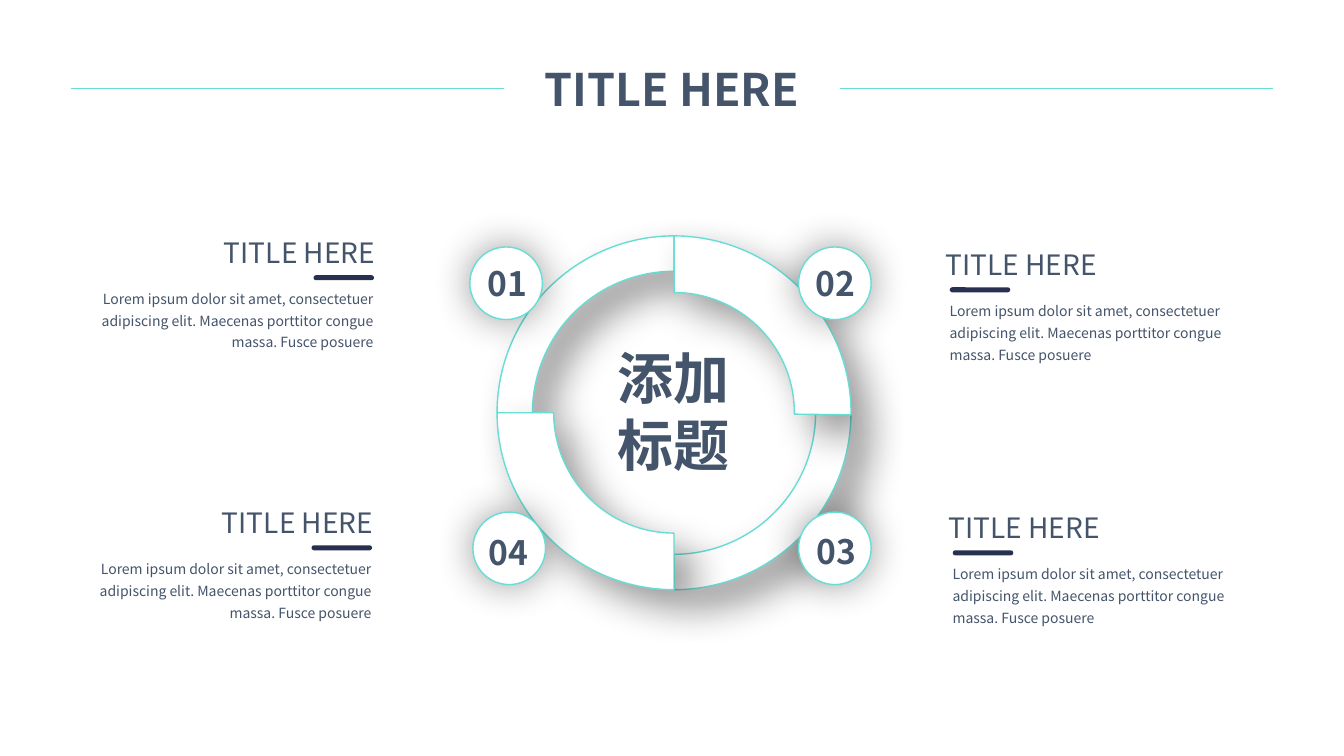
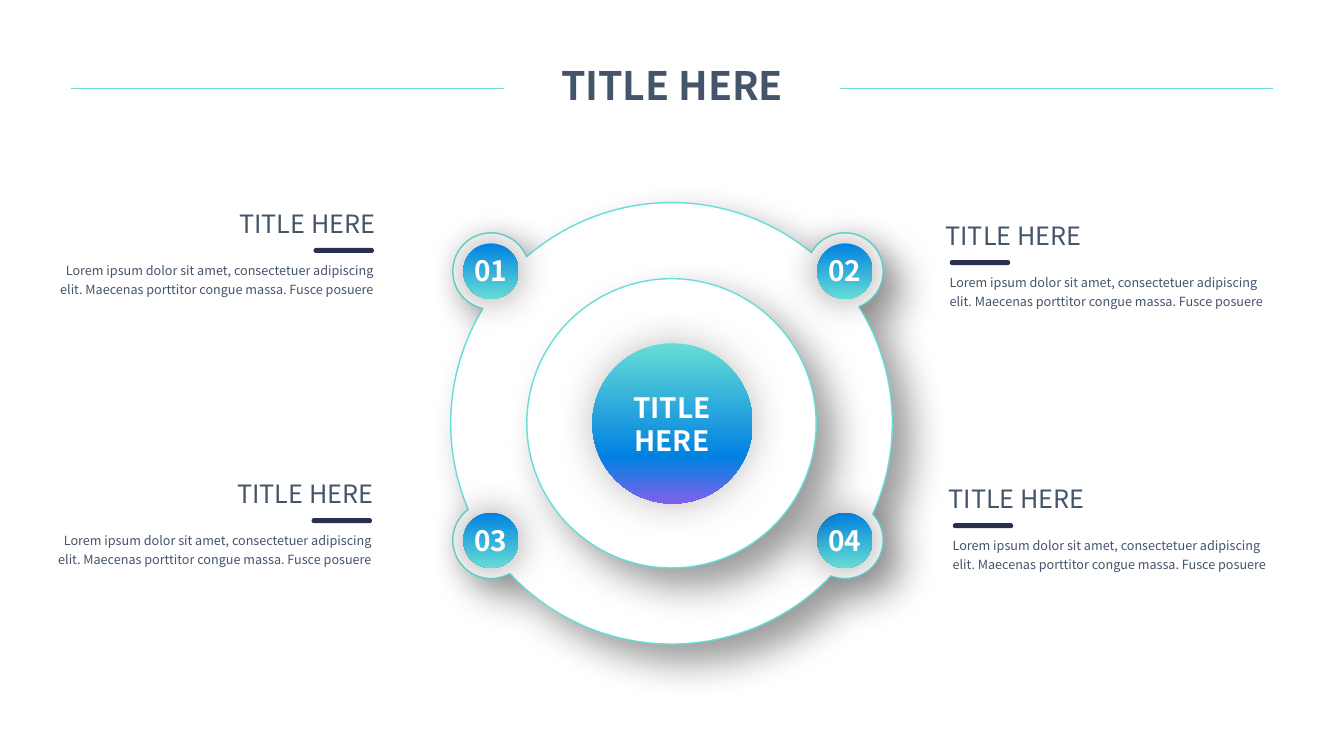
from copy import deepcopy
from math import acos, atan2, cos, degrees, hypot, radians, sin

from pptx import Presentation
from pptx.dml.color import RGBColor
from pptx.enum.shapes import MSO_CONNECTOR, MSO_SHAPE
from pptx.enum.text import MSO_ANCHOR, MSO_AUTO_SIZE, PP_ALIGN
from pptx.oxml.ns import qn
from pptx.oxml.xmlchemy import OxmlElement
from pptx.util import Inches, Pt

STRAIGHT = MSO_CONNECTOR.STRAIGHT
ELLIPSE, ARC, BAR = MSO_SHAPE.OVAL, MSO_SHAPE.BLOCK_ARC, MSO_SHAPE.ROUNDED_RECTANGLE
LEFT, CENTER, RIGHT = PP_ALIGN.LEFT, PP_ALIGN.CENTER, PP_ALIGN.RIGHT
TOP, NO_FIT = MSO_ANCHOR.TOP, MSO_AUTO_SIZE.NONE

FONT = "Noto Sans CJK SC"
SLATE = RGBColor(0x44, 0x54, 0x6A)
NAVY = RGBColor(0x27, 0x30, 0x4F)
TEAL = RGBColor(0x66, 0xDD, 0xD5)
BLUE = RGBColor(0x00, 0x81, 0xE1)
PURPLE = RGBColor(0x81, 0x60, 0xEB)
WHITE = RGBColor(0xFF, 0xFF, 0xFF)

RING_SHADOW = 18
HEADING = "TITLE HERE"
BODY = ("Lorem ipsum dolor sit amet, consectetuer adipiscing elit. "
        "Maecenas porttitor congue massa. Fusce posuere")
CALLOUTS = [(9.28, 2.41, LEFT), (9.31, 5.02, LEFT),
            (1.52, 2.29, RIGHT), (1.5, 4.97, RIGHT)]
CALLOUT_OFFSETS = {LEFT: (0.04, 0.14), RIGHT: (-1.04, 1.59)}


def add_child(parent, tag, **attributes):
    child = OxmlElement(tag)
    for name, value in attributes.items():
        child.set(name, str(value))
    parent.append(child)
    return child


def write(tf, lines, size, color=SLATE, bold=False, align=LEFT, spacing=None):
    for name, value in {"word_wrap": True, "auto_size": NO_FIT,
                        "vertical_anchor": TOP}.items():
        setattr(tf, name, value)
    for i, line in enumerate(lines):
        p = tf.paragraphs[0] if i == 0 else tf.add_paragraph()
        p.alignment = align
        p.line_spacing = spacing
        r = p.add_run()
        r.text = line
        for name, value in {"name": FONT, "size": Pt(size), "bold": bold}.items():
            setattr(r.font, name, value)
        r.font.color.rgb = color
        add_child(r.font._element, "a:ea", typeface=FONT)


def add_text(s, box, lines, size, **style):
    tb = s.shapes.add_textbox(*map(Inches, box))
    write(tb.text_frame, lines, size, **style)


def add_shadow(sp, alpha=40, blur=28, distance=0):
    sp.shadow.inherit = False
    effects = sp._element.spPr.find(qn("a:effectLst"))
    shadow = add_child(effects, "a:outerShdw", blurRad=Pt(blur), dist=Pt(distance),
                       dir=45 * 60000, algn="ctr", rotWithShape=0)
    color = add_child(shadow, "a:srgbClr", val="000000")
    add_child(color, "a:alpha", val=alpha * 1000)


def outline(sp, distance=0):
    sp.fill.solid()
    sp.fill.fore_color.rgb = WHITE
    sp.line.color.rgb = TEAL
    sp.line.width = Pt(1)
    add_shadow(sp, distance=distance)


def add_disc(s, cx, cy, diameter):
    corner = (cx - diameter / 2, cy - diameter / 2)
    return s.shapes.add_shape(ELLIPSE, *map(Inches, (*corner, diameter, diameter)))


def add_gradient_disc(s, cx, cy, diameter, stops, **shadow):
    sp = add_disc(s, cx, cy, diameter)
    sp.fill.gradient()
    sp.fill.gradient_angle = 270
    gs_list = sp._element.spPr.find(".//" + qn("a:gsLst"))
    for _ in stops[2:]:
        gs_list.append(deepcopy(gs_list[-1]))
    for stop, (position, color) in zip(sp.fill.gradient_stops, stops):
        stop.position = position
        stop.color.rgb = color
    sp.line.fill.background()
    add_shadow(sp, **shadow)


def add_arc(s, rotation, end, thickness):
    sp = s.shapes.add_shape(ARC, *map(Inches, (4.93, 2.34, 3.51, 3.51)))
    sp.rotation = rotation
    for i, value in enumerate((108, end, thickness)):
        sp.adjustments[i] = value
    outline(sp, RING_SHADOW)


def ring_arcs(cx, cy, radius, bumps, bump_radius):
    arcs = []
    polar = sorted((degrees(atan2(y - cy, x - cx)) % 360, x, y) for x, y in bumps)
    for quadrant, (angle, x, y) in enumerate(polar):
        d = hypot(x - cx, y - cy)
        half = degrees(acos((radius ** 2 + d ** 2 - bump_radius ** 2) / (2 * radius * d)))
        inner = degrees(acos((bump_radius ** 2 + d ** 2 - radius ** 2)
                             / (2 * bump_radius * d)))
        start, end = 90 * quadrant, 90 * (quadrant + 1)
        arcs += [(cx, cy, radius, start, angle - half - start),
                 (x, y, bump_radius, (angle + 180 + inner) % 360, 360 - 2 * inner),
                 (cx, cy, radius, angle + half, end - angle - half)]
    return arcs


def add_bumped_ring(s, *geometry):
    arcs = ring_arcs(*geometry)
    points = [(Inches(x + r * cos(radians(start))), Inches(y + r * sin(radians(start))))
              for x, y, r, start, _ in arcs]
    builder = s.shapes.build_freeform(*points[0])
    builder.add_line_segments(points[1:] + points[:1], close=True)
    sp = builder.convert_to_shape()
    lines = sp._element.spPr.findall(".//" + qn("a:lnTo"))
    for line, (_, _, r, start, sweep) in zip(lines, arcs):
        curve = OxmlElement("a:arcTo")
        for name, value in {"wR": Inches(r), "hR": Inches(r),
                            "stAng": round(start * 60000),
                            "swAng": round(sweep * 60000)}.items():
            curve.set(name, str(value))
        line.getparent().replace(line, curve)
    outline(sp, RING_SHADOW)


def add_callout(s, x, y, align, head_size, body_size):
    body_dx, bar_dx = CALLOUT_OFFSETS[align]
    add_text(s, (x, y, 2.3, 0.44), [HEADING], head_size, align=align)
    add_text(s, (x + body_dx, y + 0.49, 3.32, 0.74), [BODY], body_size,
             align=align, spacing=1.3)
    bar = s.shapes.add_shape(BAR, *map(Inches, (x + bar_dx, y + 0.44, 0.6, 0.05)))
    bar.adjustments[0] = 0.5
    bar.fill.solid()
    bar.fill.fore_color.rgb = NAVY
    bar.line.fill.background()
    bar.shadow.inherit = False


def add_callouts(s, shift, head_size, body_size):
    for x, y, align in CALLOUTS:
        add_callout(s, x, y + shift, align, head_size, body_size)


def add_titled_slide(prs, size):
    s = prs.slides.add_slide(prs.slide_layouts[5])
    title = s.shapes.title
    for name, value in {"left": 5, "top": 0.56, "width": 3.33, "height": 0.64}.items():
        setattr(title, name, Inches(value))
    write(title.text_frame, [HEADING], size, bold=True, align=CENTER)
    for side, start, end in ((1, 5, 0.7), (3, 8.33, 12.63)):
        rule = s.shapes.add_connector(STRAIGHT, *map(Inches, (start, 0.88, end, 0.88)))
        rule.begin_connect(title, side)
        rule.line.color.rgb = TEAL
        rule.line.width = Pt(0.5)
        add_child(rule._element.spPr, "a:effectLst")
    return s


def build_arc_slide(prs):
    s = add_titled_slide(prs, 32)
    for arc in ((180, 162, 0.1), (0, 162, 0.1), (270, 162, 0.16), (90, 162.4, 0.16)):
        add_arc(s, *arc)
    for cx, cy in ((5.02, 2.81), (8.28, 2.81), (5.05, 5.44), (8.28, 5.44)):
        outline(add_disc(s, cx, cy, 0.72))
    add_text(s, (5.84, 3.36, 1.68, 1.45), ["添加", "标题"], 40, bold=True, align=CENTER)
    labels = [(4.74, 2.56), (7.99, 2.56), (8, 5.22), (4.75, 5.23)]
    for number, (x, y) in enumerate(labels, 1):
        add_text(s, (x, y, 0.63, 0.5), [f"{number:02}"], 24, bold=True)
    add_callouts(s, 0, 20, 10)


def build_ring_slide(prs):
    s = add_titled_slide(prs, 28)
    nodes = [(x, y) for y in (2.69, 5.36) for x in (4.87, 8.38)]
    add_bumped_ring(s, 6.66, 4.2, 2.19, nodes, 0.38)
    for cx, cy in nodes:
        add_gradient_disc(s, cx, cy, 0.55, [(0, BLUE), (1, TEAL)])
    outline(add_disc(s, 6.66, 4.2, 2.87), RING_SHADOW)
    for number, (cx, cy) in enumerate(nodes, 1):
        add_text(s, (cx - 0.3, cy - 0.22, 0.6, 0.44), [f"{number:02}"], 20,
                 color=WHITE, bold=True, align=CENTER)
    add_gradient_disc(s, 6.67, 4.2, 1.59, [(0, TEAL), (0.71, BLUE), (1, PURPLE)],
                      alpha=25, blur=29)
    add_text(s, (6.05, 3.82, 1.23, 0.77), HEADING.split(), 20,
             color=WHITE, bold=True, align=CENTER)
    add_callouts(s, -0.27, 18, 9)


def main():
    prs = Presentation()
    prs.slide_width, prs.slide_height = Inches(13.33), Inches(7.5)
    build_arc_slide(prs)
    build_ring_slide(prs)
    prs.save("out.pptx")


if __name__ == "__main__":
    main()
